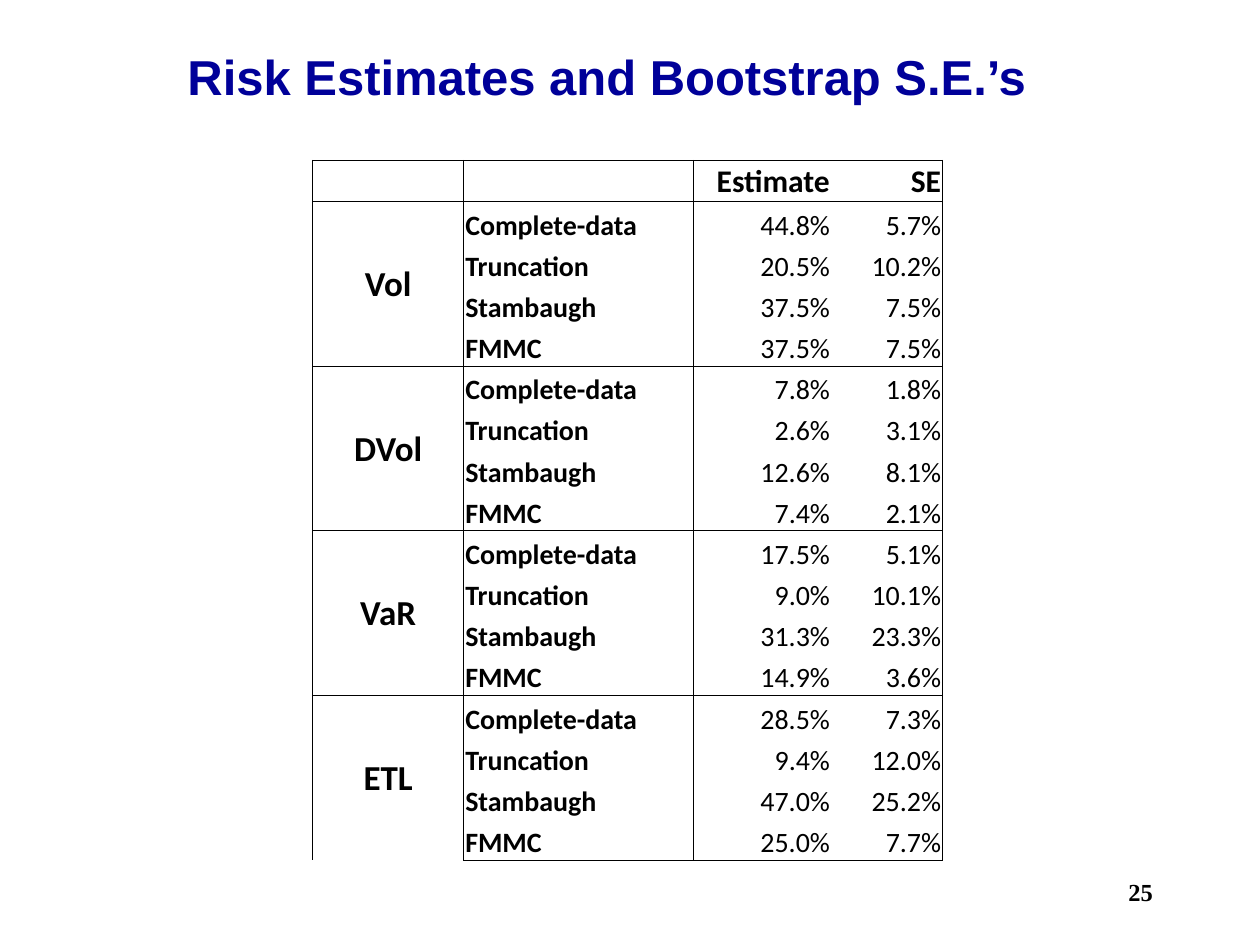
from typing import NamedTuple

from lxml import etree
from pptx import Presentation
from pptx.dml.color import RGBColor
from pptx.enum import text
from pptx.oxml import ns
from pptx.util import Cm, Pt

BLACK = RGBColor(0x00, 0x00, 0x00)
NAVY = RGBColor(0x00, 0x00, 0x99)

LEFT, CENTER, RIGHT = text.PP_ALIGN.LEFT, text.PP_ALIGN.CENTER, text.PP_ALIGN.RIGHT
MIDDLE, BOTTOM = text.MSO_ANCHOR.MIDDLE, text.MSO_ANCHOR.BOTTOM


class Style(NamedTuple):
    font: str
    size: int
    bold: bool = True
    align: text.PP_ALIGN = LEFT
    color: RGBColor = BLACK
    anchor: text.MSO_ANCHOR = MIDDLE


class Measure(NamedTuple):
    name: str
    results: list[tuple[str, str]]  # estimate and SE for each method


TITLE = Style("Arial", 28, color=NAVY)
PAGE_NUMBER = Style("Times New Roman", 14, align=RIGHT)
HEADER = Style("Calibri", 18, align=RIGHT, anchor=BOTTOM)
MEASURE = Style("Calibri", 20, align=CENTER)
METHOD = Style("Calibri", 16, anchor=BOTTOM)
VALUE = Style("Calibri", 16, bold=False, align=RIGHT, anchor=BOTTOM)

METHODS = ["Complete-data", "Truncation", "Stambaugh", "FMMC"]
MEASURES = [
    Measure("Vol", [("44.8%", "5.7%"), ("20.5%", "10.2%"),
                    ("37.5%", "7.5%"), ("37.5%", "7.5%")]),
    Measure("DVol", [("7.8%", "1.8%"), ("2.6%", "3.1%"),
                     ("12.6%", "8.1%"), ("7.4%", "2.1%")]),
    Measure("VaR", [("17.5%", "5.1%"), ("9.0%", "10.1%"),
                    ("31.3%", "23.3%"), ("14.9%", "3.6%")]),
    Measure("ETL", [("28.5%", "7.3%"), ("9.4%", "12.0%"),
                    ("47.0%", "25.2%"), ("25.0%", "7.7%")]),
]
COLUMN_WIDTHS = [3.05, 4.62, 2.79, 2.24]
ROW_HEIGHT = 0.83


def format_text(frame, style: Style) -> None:
    paragraph = frame.paragraphs[0]
    paragraph.alignment = style.align
    for run in paragraph.runs:
        run.font.name = style.font
        run.font.size = Pt(style.size)
        run.font.bold = style.bold
        run.font.color.rgb = style.color


def add_text(slide, words: str, left: float, top: float, width: float,
             height: float, style: Style) -> None:
    frame = slide.shapes.add_textbox(Cm(left), Cm(top), Cm(width), Cm(height)).text_frame
    frame.word_wrap = True
    frame.vertical_anchor = style.anchor
    frame.text = words
    format_text(frame, style)


def fill_cell(cell, words: str, style: Style) -> None:
    cell.text_frame.text = words
    cell.vertical_anchor = style.anchor
    format_text(cell.text_frame, style)


def set_borders(cell, drawn: dict[str, bool]) -> None:
    properties = cell._tc.get_or_add_tcPr()
    for side, visible in drawn.items():
        line = etree.SubElement(properties, ns.qn(f"a:ln{side}"), w=str(Pt(0.5)))
        if visible:
            fill = etree.SubElement(line, ns.qn("a:solidFill"))
            etree.SubElement(fill, ns.qn("a:srgbClr"), val=str(BLACK))
        else:
            etree.SubElement(line, ns.qn("a:noFill"))


def add_risk_table(slide) -> None:
    group = len(METHODS)
    row_count = 1 + group * len(MEASURES)
    table = slide.shapes.add_table(
        row_count, len(COLUMN_WIDTHS), Cm(6.3), Cm(3.23),
        Cm(sum(COLUMN_WIDTHS)), Cm(ROW_HEIGHT * row_count)).table
    table.first_row = table.horz_banding = False
    for column, width in zip(table.columns, COLUMN_WIDTHS):
        column.width = Cm(width)

    # Grid: lines around each measure, none between the two value columns
    for r, row in enumerate(table.rows):
        row.height = Cm(ROW_HEIGHT)
        for c, cell in enumerate(row.cells):
            set_borders(cell, {"L": c != 3, "R": c != 2,
                               "T": r == 0 or r % group == 1, "B": r % group == 0})
            cell.fill.background()
            cell.margin_left = cell.margin_right = cell.margin_top = Cm(0.03)
            cell.margin_bottom = 0

    # Header
    for c, heading in enumerate(["Estimate", "SE"], start=2):
        fill_cell(table.cell(0, c), heading, HEADER)

    # One block of methods for each measure
    for m, measure in enumerate(MEASURES):
        first = 1 + m * group
        table.cell(first, 0).merge(table.cell(first + group - 1, 0))
        fill_cell(table.cell(first, 0), measure.name, MEASURE)
        for r, (method, values) in enumerate(zip(METHODS, measure.results), start=first):
            fill_cell(table.cell(r, 1), method, METHOD)
            for c, value in enumerate(values, start=2):
                fill_cell(table.cell(r, c), value, VALUE)


def main() -> None:
    deck = Presentation()
    deck.slide_width, deck.slide_height = Cm(25.4), Cm(19.05)
    slide = deck.slides.add_slide(deck.slide_layouts[6])
    add_text(slide, "25", 18.21, 17.35, 5.28, 1.27, PAGE_NUMBER)
    add_risk_table(slide)
    add_text(slide, "Risk Estimates and Bootstrap S.E.’s", 3.53, 0.56, 18.85, 1.93, TITLE)
    deck.save("out.pptx")


if __name__ == "__main__":
    main()
